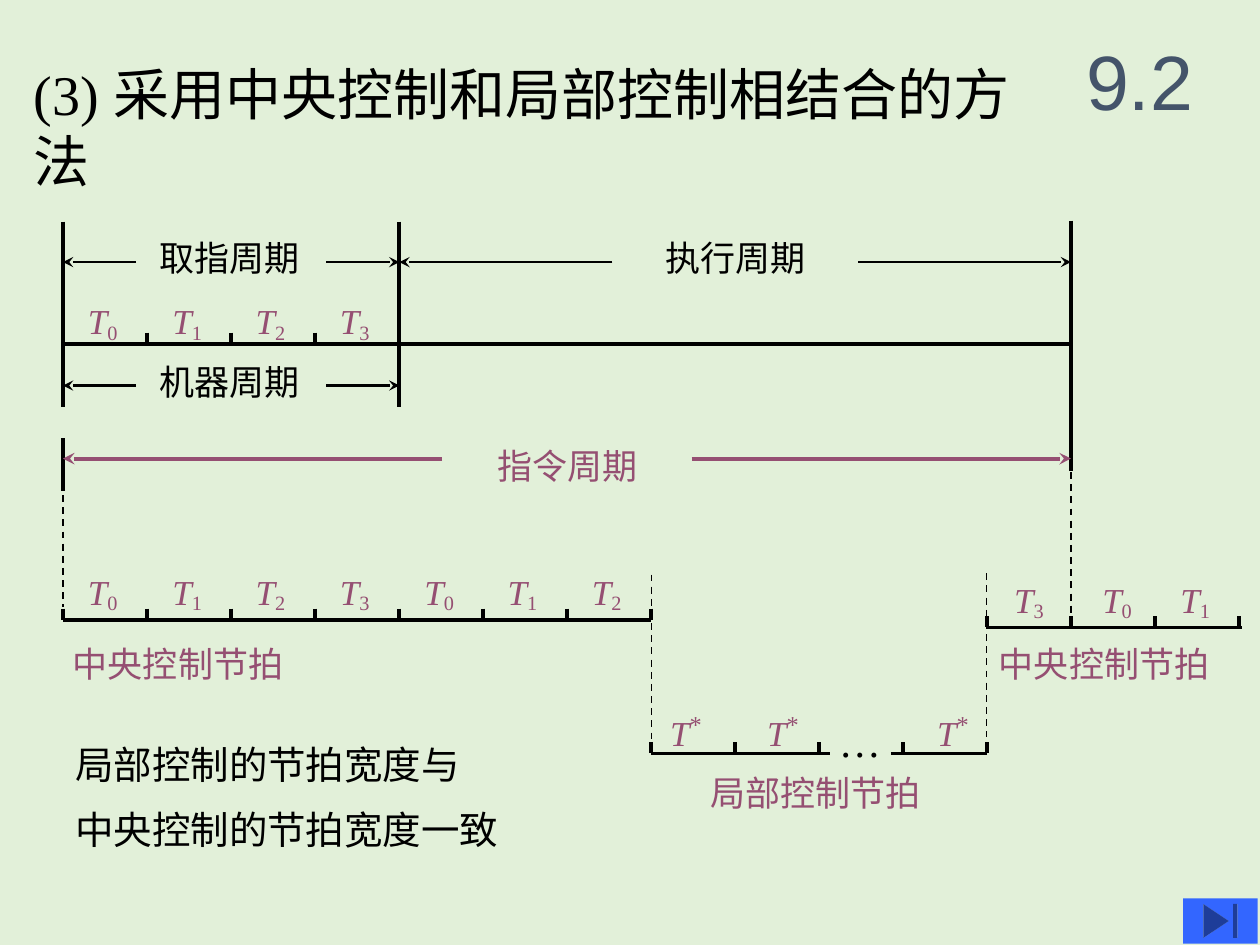
from lxml.etree import SubElement
from pptx import Presentation
from pptx.dml.color import RGBColor as RGB
from pptx.enum.dml import MSO_LINE as Dash
from pptx.enum.shapes import MSO_CONNECTOR as Conn, MSO_SHAPE as Shape
from pptx.enum.text import MSO_ANCHOR as Anchor, PP_ALIGN as Align
from pptx.oxml.ns import qn
from pptx.util import Inches, Pt

COLORS = {
    "ground": "E2F0D9",
    "ink": "000000",
    "plum": "954F72",
    "slate": "44546A",
    "blue": "3366FF",
}
SERIF = "Times New Roman"
LEFT, BEAT = 0.5, 2 / 3


def color(name):
    return RGB.from_string(COLORS[name])


def beat(num):
    """Give the x of a beat mark, counted from the left edge of the chart."""
    return round(LEFT + num * BEAT, 2)


def style(run, size, tint, face=SERIF):
    run.font.size = Pt(size)
    run.font.name = face
    run.font.color.rgb = color(tint)


def add_text(slide, lines, x, y, w, h=0.43, size=20, tint="ink", wrap=False, gap=0):
    box = slide.shapes.add_textbox(Inches(x), Inches(y), Inches(w), Inches(h))
    frame = box.text_frame
    frame.word_wrap = wrap
    frame.text = lines
    for num, para in enumerate(frame.paragraphs):
        if num:
            para.space_before = Pt(gap)
        for run in para.runs:
            style(run, size, tint)
    return frame


def add_beat(slide, mark, x, y):
    """Add an italic T with a lowered digit or a raised star."""
    star = mark == "*"
    para = add_text(slide, "T", x, y, 0.46, tint="plum").paragraphs[0]
    para.runs[0].font.italic = True
    run = para.add_run()
    run.text = mark
    style(run, 24 if star else 20, "plum")
    run._r.get_or_add_rPr().set("baseline", "30000" if star else "-15000")


def add_line(slide, x1, y1, x2, y2, width=2.25, tint="ink", dash=False, arrow=False):
    line = slide.shapes.add_connector(
        Conn.STRAIGHT, Inches(x1), Inches(y1), Inches(x2), Inches(y2))
    line.line.width = Pt(width)
    line.line.color.rgb = color(tint)
    if dash:
        line.line.dash_style = Dash.DASH
    if arrow:
        SubElement(line.line._get_or_add_ln(), qn("a:tailEnd"), type="stealth")
    SubElement(line._element.spPr, qn("a:effectLst"))


def add_ticks(slide, nums, base):
    for num in nums:
        add_line(slide, beat(num), base - 0.09, beat(num), base)


def add_span(slide, text, start, end, y, reach, x, top, tint="ink", width=1.5):
    """Add a label between two arrows that point out to two beat marks."""
    a, b = beat(start), beat(end)
    add_line(slide, a + reach, y, a, y, width, tint, arrow=True)
    add_line(slide, b - reach, y, b, y, width, tint, arrow=True)
    add_text(slide, text, x, top, 1.31, tint=tint)


def add_title(slide):
    title = slide.shapes.title
    title.left, title.top = Inches(8.42), Inches(0.17)
    title.width, title.height = Inches(1.25), Inches(0.92)
    frame = title.text_frame
    frame.text = "9.2"
    frame.vertical_anchor = Anchor.MIDDLE
    frame.paragraphs[0].alignment = Align.CENTER
    style(frame.paragraphs[0].runs[0], 44, "slate", "Arial")


def add_cycles(slide):
    add_line(slide, beat(0), 2.73, beat(12), 2.73)
    for num, top, end in [(0, 1.76, 3.23), (4, 1.76, 3.23),
                          (12, 1.75, 3.74), (0, 3.48, 3.9)]:
        add_line(slide, beat(num), top, beat(num), end)
    add_ticks(slide, range(1, 4), 2.73)
    for num in range(4):
        add_beat(slide, str(num), beat(num) + 0.1, 2.33)
    add_span(slide, "取指周期", 0, 4, 2.08, 0.58, 1.17, 1.83)
    add_span(slide, "执行周期", 4, 12, 2.08, 1.69, 5.18, 1.83)
    add_span(slide, "机器周期", 0, 4, 3.06, 0.58, 1.17, 2.81)
    add_span(slide, "指令周期", 0, 12, 3.64, 3.01, 3.85, 3.48, "plum", 2.25)


def add_central(slide):
    add_line(slide, beat(0), 4.92, beat(7), 4.92)
    add_ticks(slide, range(8), 4.92)
    for num in range(7):
        add_beat(slide, str(num % 4), beat(num) + 0.1, 4.48)
    add_line(slide, beat(11), 4.98, 9.86, 4.98)
    add_ticks(slide, range(11, 15), 4.98)
    for mark, x in zip("301", (7.95, 8.65, 9.27)):
        add_beat(slide, mark, x, 4.54)
    for x in (0.48, 7.83):
        add_text(slide, "中央控制节拍", x, 5.05, 1.88, tint="plum")


def add_local(slide):
    add_line(slide, beat(7), 5.98, 6.59, 5.98)
    add_line(slide, 7.07, 5.98, beat(11), 5.98)
    add_ticks(slide, range(7, 12), 5.98)
    for x in (5.22, 5.99, 7.34):
        add_beat(slide, "*", x, 5.54)
    add_text(slide, "…", 6.56, 5.63, 0.79, 0.5, 24, wrap=True)
    add_text(slide, "局部控制节拍", 5.54, 6.07, 1.88, tint="plum")


def add_guides(slide):
    for num, top, end in [(0, 3.64, 4.82), (7, 4.56, 5.87),
                          (11, 4.55, 5.85), (12, 3.65, 4.89)]:
        add_line(slide, beat(num), top, beat(num), end, 1, dash=True)


def add_button(slide):
    button = slide.shapes.add_shape(
        Shape.ACTION_BUTTON_END, Inches(9.39), Inches(7.13), Inches(0.59), Inches(0.36))
    button.shadow.inherit = False
    button.fill.solid()
    button.fill.fore_color.rgb = color("blue")
    button.line.fill.background()


def main():
    deck = Presentation()
    deck.slide_width, deck.slide_height = Inches(10), Inches(7.5)
    slide = deck.slides.add_slide(deck.slide_layouts[5])
    ground = slide.background.fill
    ground.solid()
    ground.fore_color.rgb = color("ground")
    add_title(slide)
    add_text(slide, "(3) 采用中央控制和局部控制相结合的方法",
             0.17, 0.42, 8.3, 0.63, 32, wrap=True)
    add_guides(slide)
    add_cycles(slide)
    add_central(slide)
    add_local(slide)
    add_text(slide, "局部控制的节拍宽度与\n中央控制的节拍宽度一致",
             0.5, 5.83, 4.92, 1.02, 22, wrap=True, gap=11)
    add_button(slide)
    deck.save("out.pptx")


if __name__ == "__main__":
    main()
